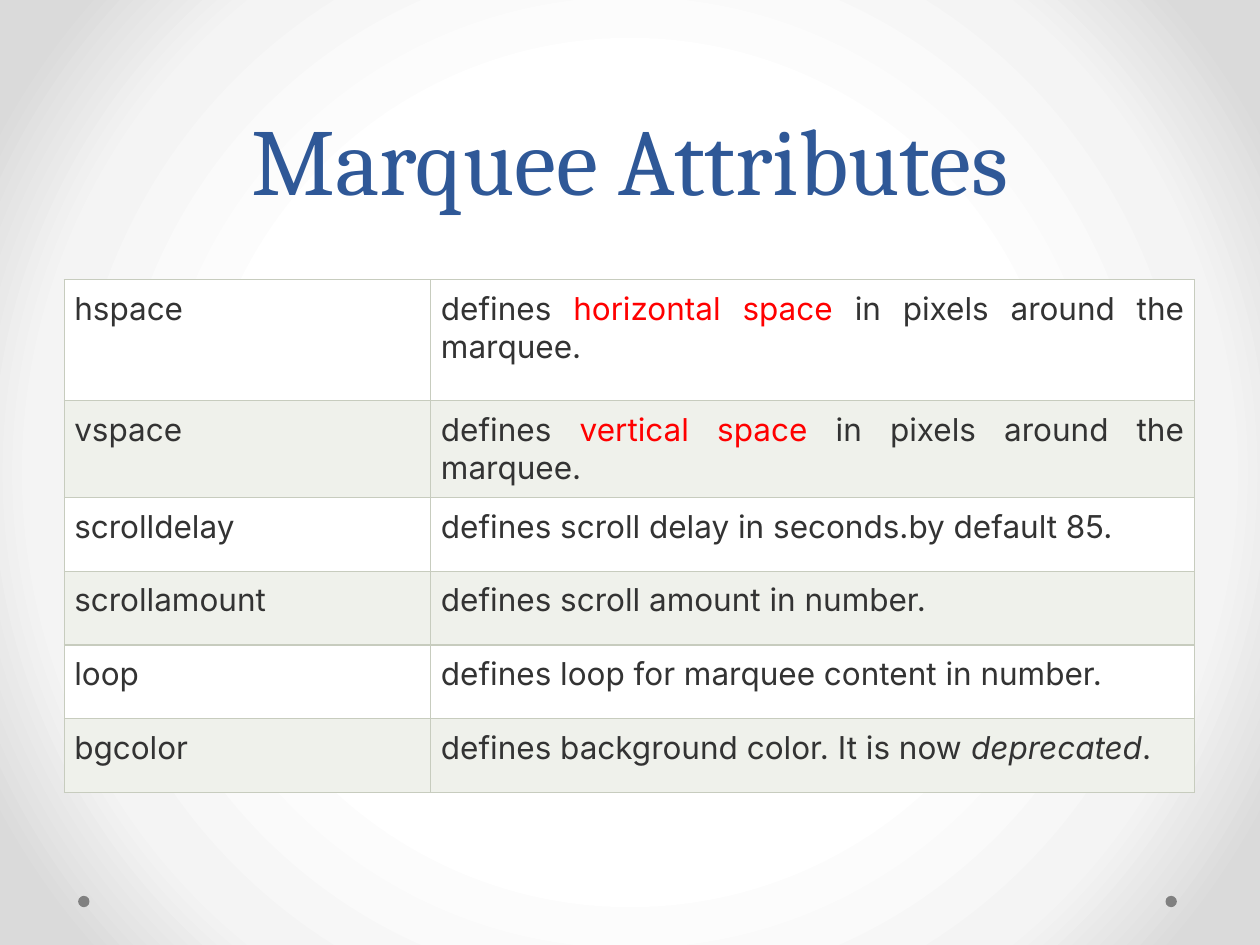
from pptx import Presentation
from pptx.dml.color import RGBColor
from pptx.enum.shapes import MSO_SHAPE as SHAPE
from pptx.enum.text import MSO_ANCHOR as ANCHOR, PP_ALIGN as ALIGN
from pptx.oxml import parse_xml
from pptx.oxml.ns import nsdecls
from pptx.util import Inches, Pt

BLUE, INK, RED, GREY = "2F5897", "333333", "FF0000", "808080"
BORDER, BANDS = "C7CCBE", ("FFFFFF", "EFF1EB")
GLOW = ((50, "FFFFFF"), (76, "F4F4F4"), (92, "DADADA"))
COLS = (2.91, 6.06)
ROW_HEIGHTS = (0.96, 0.77) + (0.585,) * 4
ROWS = (
    ("hspace", ["defines ", ("horizontal space", {"color": RED}),
                " in pixels around the marquee."]),
    ("vspace", ["defines ", ("vertical space", {"color": RED}),
                " in pixels around the marquee."]),
    ("scrolldelay", ["defines scroll delay in seconds.by default 85."]),
    ("scrollamount", ["defines scroll amount in number."]),
    ("loop", ["defines loop for marquee content in number."]),
    ("bgcolor", ["defines background color. It is now ",
                 ("deprecated", {"italic": True}), "."]),
)


def rgb(color):
    return RGBColor.from_string(color)


def add_run(p, text, size=18, font="Inter", color=INK, italic=False):
    r = p.add_run()
    r.text = text
    r.font.size = Pt(size)
    r.font.name = font
    r.font.italic = italic
    r.font.color.rgb = rgb(color)


def set_background(slide):
    """Radial gradient spreading from the centre of the slide."""
    stops = "".join(f'<a:gs pos="{pos * 1000}"><a:srgbClr val="{color}"/></a:gs>'
                    for pos, color in GLOW)
    bg = parse_xml(
        f'<p:bg {nsdecls("p", "a")}><p:bgPr><a:gradFill rotWithShape="1">'
        f'<a:gsLst>{stops}</a:gsLst><a:path path="circle">'
        '<a:fillToRect l="50000" t="50000" r="50000" b="50000"/></a:path>'
        '</a:gradFill><a:effectLst/></p:bgPr></p:bg>')
    slide.element.cSld.insert(0, bg)


def add_dot(slide, left):
    sp = slide.shapes.add_shape(SHAPE.OVAL, Inches(left), Inches(7.11),
                                Inches(0.09), Inches(0.09))
    sp.shadow.inherit = False
    sp.fill.solid()
    sp.fill.fore_color.rgb = rgb(GREY)
    sp.line.fill.background()


def set_title(slide, text):
    title = slide.shapes.title
    title.left, title.top = Inches(0.5), Inches(0)
    title.width, title.height = Inches(9), Inches(1.75)
    tf = title.text_frame
    tf.vertical_anchor = ANCHOR.BOTTOM
    p = tf.paragraphs[0]
    p.alignment = ALIGN.CENTER
    p.line_spacing = Pt(58)
    add_run(p, text, size=54, font="Cambria", color=BLUE)


def set_borders(cell):
    tcPr = cell._tc.get_or_add_tcPr()
    for i, side in enumerate(("lnL", "lnR", "lnT", "lnB")):
        tcPr.insert(i, parse_xml(
            f'<a:{side} {nsdecls("a")} w="{Pt(0.75)}"><a:solidFill>'
            f'<a:srgbClr val="{BORDER}"/></a:solidFill></a:{side}>'))


def fill_cell(cell, parts, fill):
    """Each part is plain text or a (text, format) pair."""
    cell.margin_left = cell.margin_right = Inches(0.08)
    cell.margin_top = cell.margin_bottom = Inches(0.08)
    cell.fill.solid()
    cell.fill.fore_color.rgb = rgb(fill)
    set_borders(cell)
    p = cell.text_frame.paragraphs[0]
    p.alignment = ALIGN.JUSTIFY
    for part in parts:
        text, fmt = (part, {}) if isinstance(part, str) else part
        add_run(p, text, **fmt)


def add_attribute_table(slide):
    table = slide.shapes.add_table(
        len(ROWS), len(COLS), Inches(0.51), Inches(2.22),
        Inches(sum(COLS)), Inches(sum(ROW_HEIGHTS))).table
    for column, width in zip(table.columns, COLS):
        column.width = Inches(width)
    for i, (name, description) in enumerate(ROWS):
        table.rows[i].height = Inches(ROW_HEIGHTS[i])
        for j, parts in enumerate(([name], description)):
            fill_cell(table.cell(i, j), parts, BANDS[i % 2])


def main():
    prs = Presentation()
    prs.slide_width, prs.slide_height = Inches(10), Inches(7.5)
    slide = prs.slides.add_slide(prs.slide_layouts[5])
    set_background(slide)
    for left in (9.25, 0.62):
        add_dot(slide, left)
    set_title(slide, "Marquee Attributes")
    add_attribute_table(slide)
    prs.save("out.pptx")


if __name__ == "__main__":
    main()
